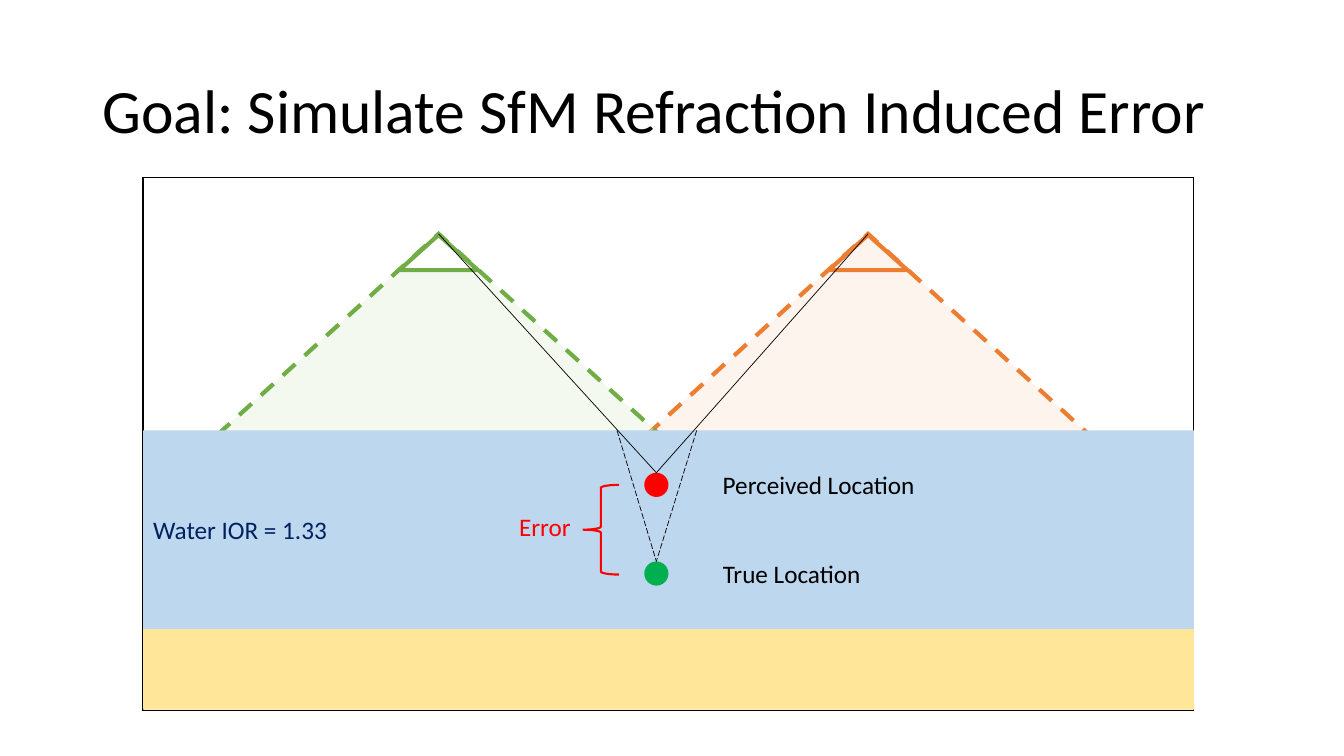
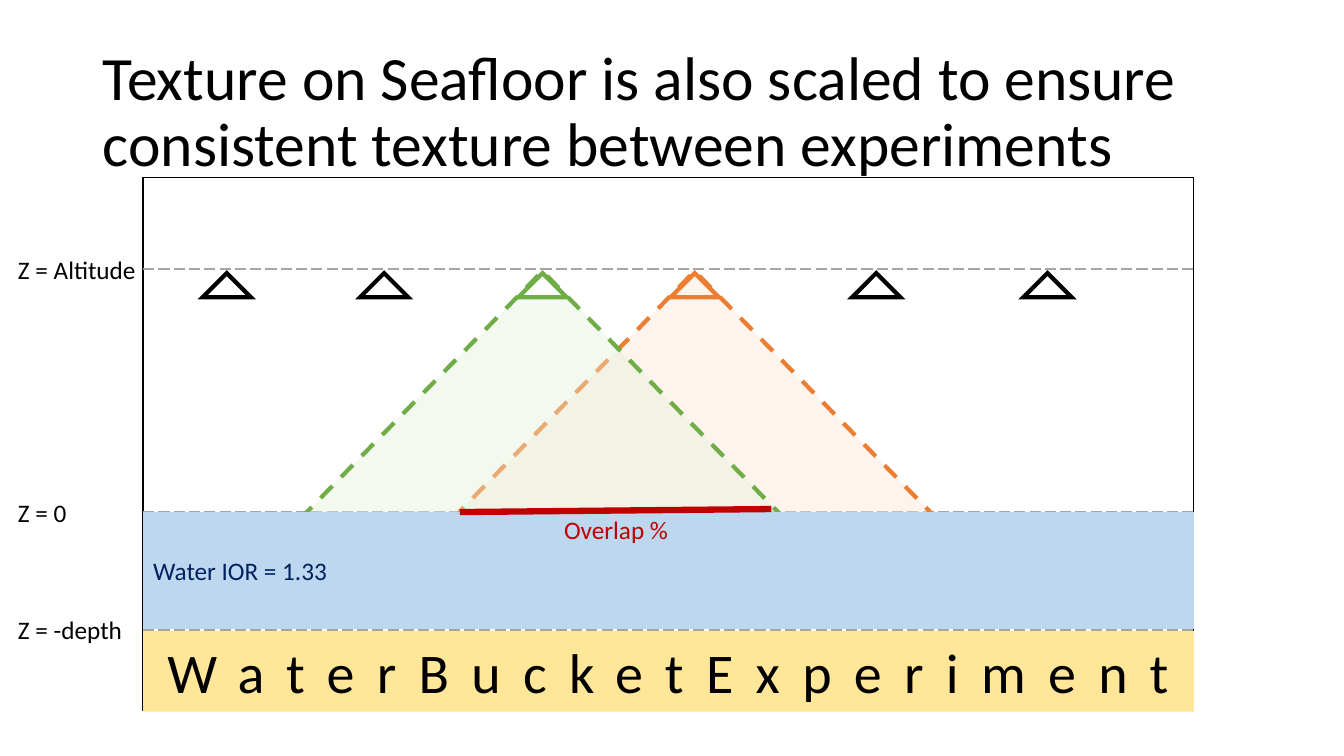
from lxml import etree
from pptx import Presentation
from pptx.dml.color import RGBColor
from pptx.enum import dml, shapes, text
from pptx.oxml import ns
from pptx.util import Inches, Pt

FONT = "Calibri"
COLORS = {
    "black": "000000", "white": "FFFFFF", "sand": "FFE699", "water": "BDD7EE",
    "navy": "002060", "green": "70AD47", "green tint": "E2F0D9",
    "orange": "ED7D31", "orange tint": "FBE5D6", "red": "FF0000",
    "true": "00B050", "level": "A5A5A5", "overlap": "C00000",
}
LEFT, WIDTH = 1.42, 10.42
FRAME_TOP, FRAME_HEIGHT = 1.76, 5.29
SEABED_HEIGHT, WATER_BOTTOM = 0.8, 6.24
LABEL_HEIGHT, DOT = 0.4, 0.24
WATER_LABEL = "Water IOR = 1.33"
DASH, LONG_DASH = dml.MSO_LINE.DASH, dml.MSO_LINE.LONG_DASH
SHAPE = shapes.MSO_SHAPE

# Apexes are the x positions of the camera tips; sizes are (width, height).
REFRACTION = {
    "title": "Goal: Simulate SfM Refraction Induced Error",
    "surface": 4.27, "seabed": 6.24, "seabed text": "", "levels": [],
    "apexes": {"orange": 8.61, "green": 4.35}, "cone top": 2.32, "cone": (4.82, 2.19),
    "camera top": 2.33, "camera": (0.78, 0.35), "other cameras": [],
}
OVERLAP = {
    "title": "Texture on Seafloor is also scaled to ensure consistent texture "
             "between experiments",
    "surface": 5.08, "seabed": 6.26, "seabed text": "WaterBucketExperiment",
    "levels": [("Z = Altitude", 2.67, 1.38), ("Z = 0", 5.08, 0.69),
               ("Z = -depth", 6.25, 1.25)],
    "apexes": {"orange": 6.89, "green": 5.38}, "cone top": 2.69, "cone": (4.81, 2.46),
    "camera top": 2.71, "camera": (0.48, 0.24),
    "other cameras": [2.25, 3.81, 8.69, 10.39],
}
POINT_X = 6.51
POINTS = [("True Location", 5.57, "true", 1.59),
          ("Perceived Location", 4.69, "red", 2.13)]
REFRACTED_AT = [6.91, 6.12]


def rgb(name):
    return RGBColor.from_string(COLORS[name])


def style_line(line, color, width, dash=None):
    line.color.rgb = rgb(color)
    line.width = Pt(width)
    if dash:
        line.dash_style = dash


def add_shape(slide, kind, box, fill=None, line=None, opacity=None):
    """line is (color, width) or (color, width, dash); opacity is a percentage."""
    shape = slide.shapes.add_shape(kind, *map(Inches, box))
    shape.shadow.inherit = False
    if fill:
        shape.fill.solid()
        shape.fill.fore_color.rgb = rgb(fill)
        if opacity:
            tint = shape.fill._xPr.find(".//" + ns.qn("a:srgbClr"))
            etree.SubElement(tint, ns.qn("a:alpha"), val=str(opacity * 1000))
    else:
        shape.fill.background()
    if line:
        style_line(shape.line, *line)
        outline = shape.line._get_or_add_ln()
        etree.SubElement(outline, ns.qn("a:miter"), lim="800000")
    else:
        shape.line.fill.background()
    return shape


def add_line(slide, start, end, color, width, dash=None):
    line = slide.shapes.add_connector(
        shapes.MSO_CONNECTOR.STRAIGHT, *map(Inches, (*start, *end)))
    style_line(line.line, color, width, dash)
    etree.SubElement(line._element.spPr, ns.qn("a:effectLst"))


def write(shape, words, size=18, color="black", align=text.PP_ALIGN.LEFT,
          anchor=text.MSO_ANCHOR.MIDDLE, wrap=True):
    frame = shape.text_frame
    frame.word_wrap = wrap
    frame.vertical_anchor = anchor
    paragraph = frame.paragraphs[0]
    paragraph.text = words
    paragraph.alignment = align
    paragraph.font.name = FONT
    paragraph.font.size = Pt(size)
    paragraph.font.color.rgb = rgb(color)
    return paragraph


def add_label(slide, words, left, top, width, **style):
    box = slide.shapes.add_textbox(*map(Inches, (left, top, width, LABEL_HEIGHT)))
    write(box, words, anchor=text.MSO_ANCHOR.TOP, **style)


def add_triangle(slide, apex, top, size, line, fill=None, opacity=None):
    box = (apex - size[0] / 2, top, *size)
    add_shape(slide, SHAPE.ISOSCELES_TRIANGLE, box, fill, line, opacity)


def add_scene(deck, scene):
    """Draws the title, frame, seabed, water, cameras and their view cones."""
    slide = deck.slides.add_slide(deck.slide_layouts[6])
    title = slide.shapes.add_textbox(*map(Inches, (0.92, 0.4, 11.5, 1.45)))
    write(title, scene["title"], size=44).line_spacing = 0.9

    add_shape(slide, SHAPE.RECTANGLE, (LEFT, FRAME_TOP, WIDTH, FRAME_HEIGHT),
              line=("black", 1))
    seabed = add_shape(slide, SHAPE.RECTANGLE,
                       (LEFT, scene["seabed"], WIDTH, SEABED_HEIGHT), "sand")
    if scene["seabed text"]:
        texture = write(seabed, scene["seabed text"], size=40,
                        align=text.PP_ALIGN.CENTER)
        texture.runs[0].font._element.set("spc", "1600")

    for words, level, width in scene["levels"]:
        add_label(slide, words, 0.08, level - LABEL_HEIGHT / 2, width, wrap=False)
        add_line(slide, (LEFT, level), (LEFT + WIDTH, level), "level", 1, LONG_DASH)

    for color, apex in scene["apexes"].items():
        add_triangle(slide, apex, scene["cone top"], scene["cone"],
                     (color, 3, DASH), color + " tint", 40)
    water = add_shape(slide, SHAPE.RECTANGLE,
                      (LEFT, scene["surface"], WIDTH, WATER_BOTTOM - scene["surface"]),
                      "water")
    write(water, WATER_LABEL, color="navy")

    cameras = [(apex, color) for color, apex in scene["apexes"].items()]
    cameras += [(apex, "black") for apex in scene["other cameras"]]
    for apex, color in cameras:
        add_triangle(slide, apex, scene["camera top"], scene["camera"], (color, 3),
                     "white" if color == "green" else None)
    return slide


def add_refraction(slide):
    """Adds the two points, the light rays and the error between the points."""
    for words, top, color, width in POINTS:
        add_shape(slide, SHAPE.OVAL, (POINT_X - DOT / 2, top, DOT, DOT), color)
        add_label(slide, words, 7.07, top - 0.08, width, wrap=False)
    (_, true_top, *_), (_, perceived_top, *_) = POINTS
    for apex in REFRACTION["apexes"].values():
        add_line(slide, (POINT_X, perceived_top), (apex, REFRACTION["cone top"]),
                 "black", 0.5)
    for x in REFRACTED_AT:
        add_line(slide, (x, REFRACTION["surface"]), (POINT_X, true_top),
                 "black", 0.5, LONG_DASH)
    add_label(slide, "Error", 5.05, 5.02, 0.72, color="red", wrap=False)
    add_shape(slide, SHAPE.LEFT_BRACE, (5.78, 4.81, 0.36, 0.89), line=("red", 1.5))


def add_overlap(slide):
    add_label(slide, "Overlap %", 5.25, 5.05, 1.72, color="overlap",
              align=text.PP_ALIGN.CENTER)
    add_line(slide, (7.65, 5.05), (4.56, 5.08), "overlap", 4.5)


def main():
    deck = Presentation()
    deck.slide_width, deck.slide_height = Inches(13.33), Inches(7.5)
    add_refraction(add_scene(deck, REFRACTION))
    add_overlap(add_scene(deck, OVERLAP))
    deck.save("out.pptx")


if __name__ == "__main__":
    main()
